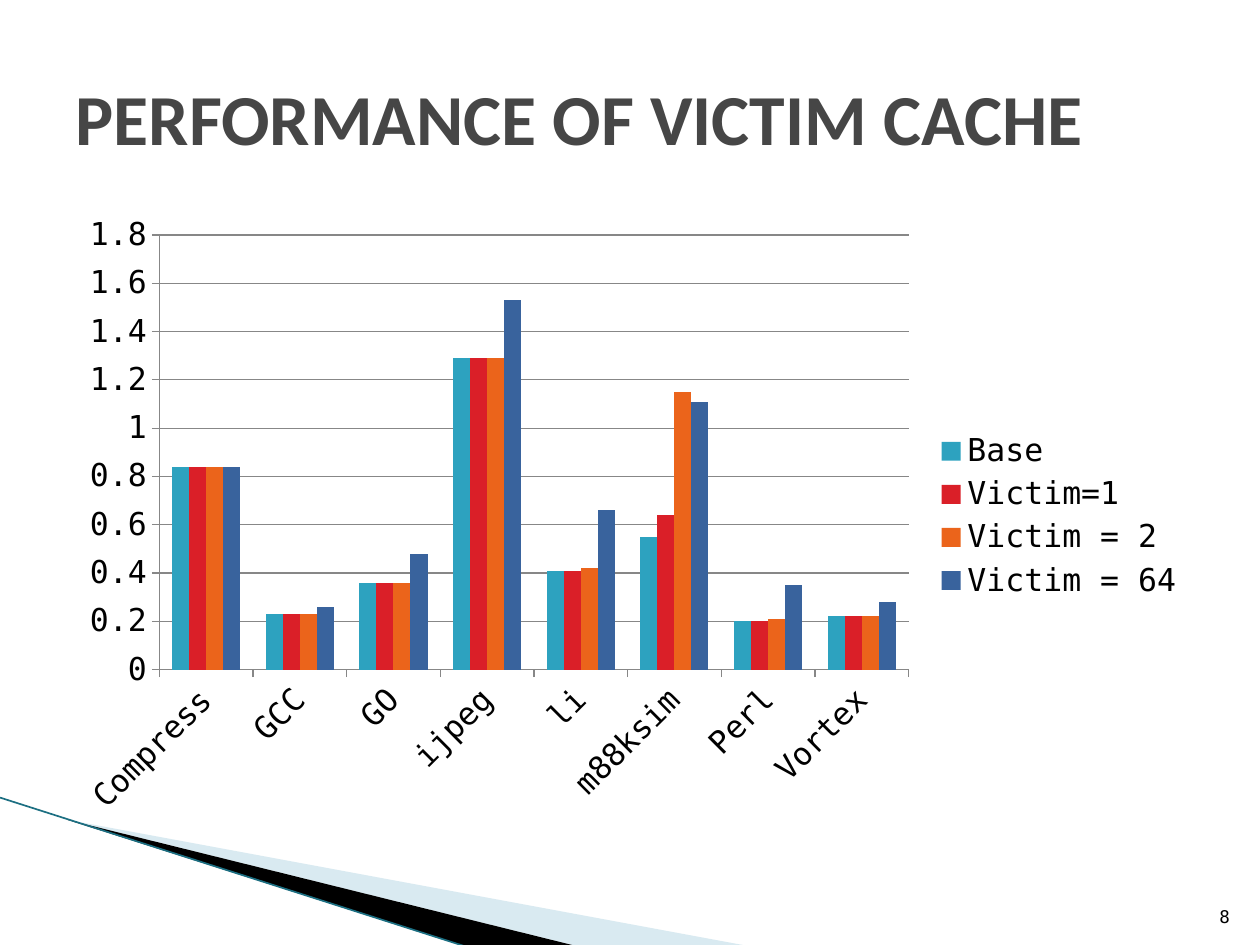
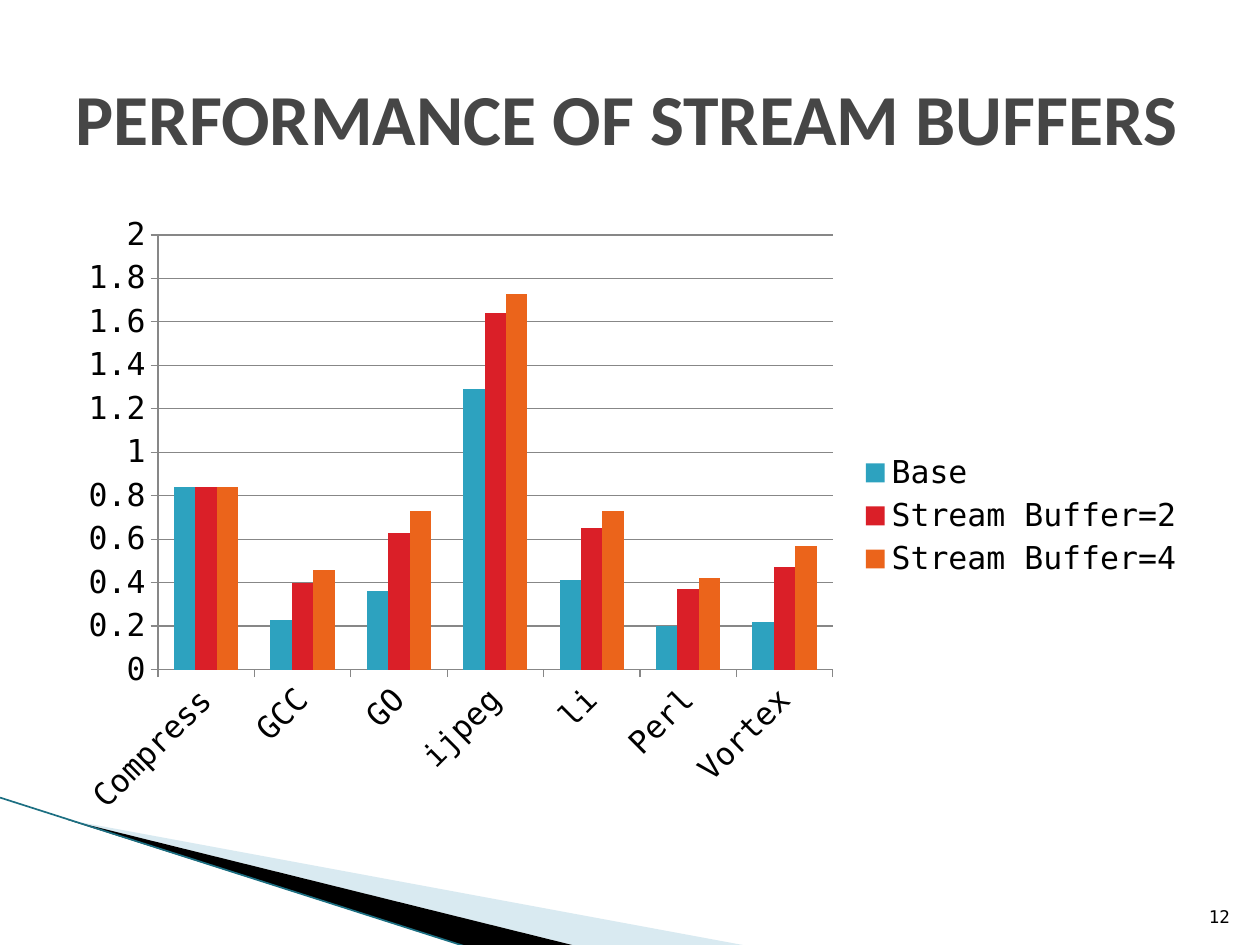
from lxml import etree
from pptx import Presentation
from pptx import util as u
from pptx.chart import data as cd
from pptx.dml import color
from pptx.enum import chart as ce, shapes, text
from pptx.oxml import ns

COLS, ROWS = 100, 75
CELL = u.Inches(0.1)
TITLE_FONT, MONO = "Calibri", "DejaVu Sans Mono"
BLACK, TITLE, PALE, EDGE, GRID = "000000", "464646", "A0CBDC", "1C6F82", "878787"
SERIES_COLOURS = ["2DA2BF", "DA1F28", "EB641B", "39639D"]

TITLE_BOX = (5, 3, 90, 12.5)
CHART_BOX = (5, 16.2, 90, 49.5)
NUMBER_BOX = (94.6, 70.1, 4, 4)
WEDGE_BOX = (0, 63.3, 59.5, 11.8)
PALE_FRAME = (7.8, 54.7, 41.6, 15.8)
BLACK_FRAME = (-0.6, 63.3, 41.6, 9.2)

SLIDES = [
    ("PERFORMANCE OF VICTIM CACHE", "8",
     ["Compress", "GCC", "GO", "ijpeg", "li", "m88ksim", "Perl", "Vortex"],
     {"Base": [0.84, 0.23, 0.36, 1.29, 0.41, 0.55, 0.2, 0.22],
      "Victim=1": [0.84, 0.23, 0.36, 1.29, 0.41, 0.64, 0.2, 0.22],
      "Victim = 2": [0.84, 0.23, 0.36, 1.29, 0.42, 1.15, 0.21, 0.22],
      "Victim = 64": [0.84, 0.26, 0.48, 1.53, 0.66, 1.11, 0.35, 0.28]}),
    ("PERFORMANCE OF STREAM BUFFERS", "12",
     ["Compress", "GCC", "GO", "ijpeg", "li", "Perl", "Vortex"],
     {"Base": [0.84, 0.23, 0.36, 1.29, 0.41, 0.2, 0.22],
      "Stream Buffer=2": [0.84, 0.4, 0.63, 1.64, 0.65, 0.37, 0.47],
      "Stream Buffer=4": [0.84, 0.46, 0.73, 1.73, 0.73, 0.42, 0.57]}),
]


def rgb(value):
    """Turn a hex string into a colour."""
    return color.RGBColor.from_string(value)


def cells(*counts):
    """Turn counts of grid cells into lengths."""
    return [u.Emu(round(n * CELL)) for n in counts]


def style(font, name, size, colour, bold=False):
    """Format a font."""
    font.name, font.size, font.bold = name, u.Pt(size), bold
    font.color.rgb = rgb(colour)


def paint(fill, colour):
    """Give a solid fill."""
    fill.solid()
    fill.fore_color.rgb = rgb(colour)


def reframe(sp, frame):
    """Move the frame of an outline while its points stay in place."""
    left, top, width, height = cells(*frame)
    dx, dy = sp.left - left, sp.top - top
    outline = sp._element.spPr.find(".//" + ns.qn("a:path"))
    outline.set("w", str(width))
    outline.set("h", str(height))
    for pt in outline.iter(ns.qn("a:pt")):
        pt.set("x", str(int(pt.get("x")) + dx))
        pt.set("y", str(int(pt.get("y")) + dy))
    sp.left, sp.top, sp.width, sp.height = left, top, width, height


def add_wedge(slide, box, points, frame, colour, opacity=100):
    """Draw a filled outline from points that are shares of the box."""
    x, y, w, h = box
    pts = [cells(x + px * w, y + py * h) for px, py in points]
    builder = slide.shapes.build_freeform(*pts[0], scale=1.0)
    builder.add_line_segments(pts[1:], close=True)
    sp = builder.convert_to_shape()
    reframe(sp, frame)
    sp.shadow.inherit = False
    sp.line.fill.background()
    paint(sp.fill, colour)
    if opacity < 100:
        clr = sp.fill._xPr.find(".//" + ns.qn("a:srgbClr"))
        etree.SubElement(clr, ns.qn("a:alpha"), val=str(opacity * 1000))


def add_corner(slide, box):
    """Draw the pale and black wedges and the edge line in the lower left."""
    x, y, w, h = box
    tip = (0.09, 0.15)
    add_wedge(slide, box, [tip, (1, 1), (0.77, 1)], PALE_FRAME, PALE, 40)
    add_wedge(slide, box, [tip, (0.77, 1), (0.62, 1)], BLACK_FRAME, BLACK)
    line = slide.shapes.add_connector(
        shapes.MSO_CONNECTOR.STRAIGHT, *cells(x, y, x + 0.62 * w, y + h))
    line.line.color.rgb = rgb(EDGE)
    line.line.width = u.Pt(0.95)
    etree.SubElement(line._element.spPr, ns.qn("a:effectLst"))


def add_title(slide, box, words):
    """Place and format the title placeholder."""
    sp = slide.shapes.title
    sp.left, sp.top, sp.width, sp.height = cells(*box)
    tf = sp.text_frame
    tf.text = words
    tf.auto_size = text.MSO_AUTO_SIZE.NONE
    tf.vertical_anchor = text.MSO_ANCHOR.MIDDLE
    p = tf.paragraphs[0]
    p.alignment = text.PP_ALIGN.LEFT
    style(p.runs[0].font, TITLE_FONT, 41, TITLE, True)


def add_number(slide, box, number):
    """Write the slide number in the lower right."""
    tf = slide.shapes.add_textbox(*cells(*box)).text_frame
    tf.word_wrap = True
    tf.vertical_anchor = text.MSO_ANCHOR.BOTTOM
    tf.text = number
    p = tf.paragraphs[0]
    p.alignment = text.PP_ALIGN.RIGHT
    style(p.runs[0].font, MONO, 10, BLACK)


def add_columns(slide, box, names, series):
    """Add the clustered column chart with its legend on the right."""
    data = cd.CategoryChartData()
    data.categories = names
    for name, values in series.items():
        data.add_series(name, values)
    chart = slide.shapes.add_chart(
        ce.XL_CHART_TYPE.COLUMN_CLUSTERED, *cells(*box), data).chart
    style(chart.font, MONO, 18, BLACK)
    chart.has_title = False
    chart.has_legend = True
    chart.legend.position = ce.XL_LEGEND_POSITION.RIGHT
    chart.legend.include_in_layout = False
    plot = chart.plots[0]
    plot.gap_width, plot.overlap, plot.vary_by_categories = 150, 0, False
    for ser, colour in zip(plot.series, SERIES_COLOURS):
        paint(ser.format.fill, colour)
    for axis in (chart.category_axis, chart.value_axis):
        axis.major_tick_mark = ce.XL_TICK_MARK.OUTSIDE
        axis.format.line.color.rgb = rgb(GRID)
        style(axis.tick_labels.font, MONO, 18, BLACK)
    chart.value_axis.major_gridlines.format.line.color.rgb = rgb(GRID)
    chart.value_axis.minimum_scale = 0
    chart.value_axis.major_unit = 0.2
    body = chart.category_axis._element.find(".//" + ns.qn("a:bodyPr"))
    body.set("rot", "-2700000")


def add_chart_slide(prs, title, number, names, series):
    """Build one slide with a title, a chart and the corner decoration."""
    slide = prs.slides.add_slide(prs.slide_layouts.get_by_name("Title Only"))
    add_corner(slide, WEDGE_BOX)
    add_columns(slide, CHART_BOX, names, series)
    add_number(slide, NUMBER_BOX, number)
    add_title(slide, TITLE_BOX, title)


def main():
    """Build and save the presentation."""
    prs = Presentation()
    prs.slide_width, prs.slide_height = cells(COLS, ROWS)
    for content in SLIDES:
        add_chart_slide(prs, *content)
    prs.save("out.pptx")


if __name__ == "__main__":
    main()
